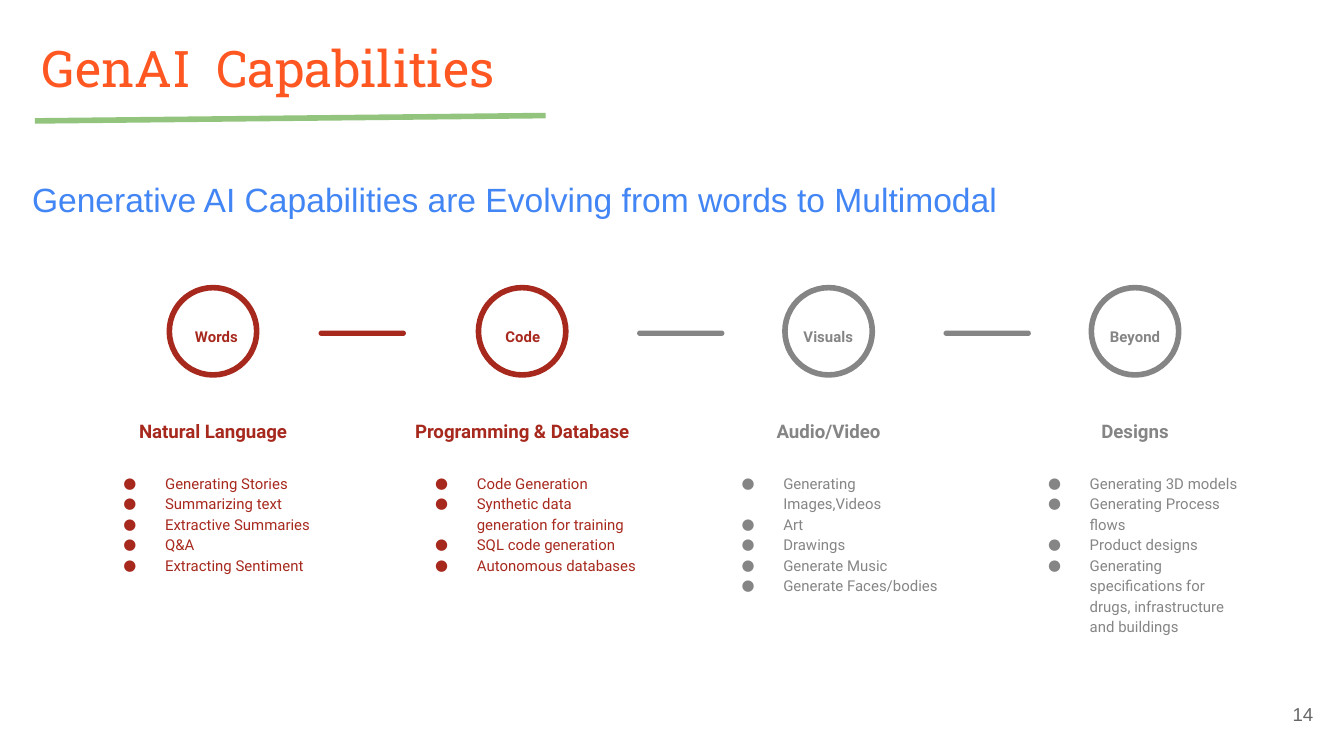
from collections import namedtuple
from dataclasses import dataclass

from lxml import etree
from pptx import Presentation, util as u
from pptx.dml.color import RGBColor
from pptx.enum import shapes as kinds, text as txt
from pptx.oxml import ns


@dataclass(frozen=True)
class Theme:
    """Colours, fonts and type sizes of the deck."""
    current: str = "A7291E"
    future: str = "858585"
    title: str = "FF5722"
    subtitle: str = "4285F4"
    underline: str = "93C47D"
    number: str = "666666"
    slab: str = "Roboto Slab"
    body: str = "Roboto"
    plain: str = "Arial"
    title_size: float = 27
    subtitle_size: float = 18
    heading_size: float = 10
    body_size: float = 8
    stroke: float = 3


THEME = Theme()
Box = namedtuple("Box", "left top width height")
Stage = namedtuple("Stage", "left colour label label_left label_width label_align heading "
                            "list_left list_width items dash_gap")
LEFT, CENTER, RIGHT = txt.PP_ALIGN.LEFT, txt.PP_ALIGN.CENTER, txt.PP_ALIGN.RIGHT
TOP, MIDDLE, BOTTOM = txt.MSO_ANCHOR.TOP, txt.MSO_ANCHOR.MIDDLE, txt.MSO_ANCHOR.BOTTOM

STAGES = [
    Stage(0.65, THEME.current, "Words", 0.7, 0.52, CENTER, "Natural Language", -0.02, 1.92,
          ["Generating Stories", "Summarizing text", "Extractive Summaries", "Q&A",
           "Extracting Sentiment"], None),
    Stage(2.95, THEME.current, "Code", 0.7, 0.48, CENTER, "Programming & Database", 0, 1.96,
          ["Code Generation", "Synthetic data generation for training",
           "SQL code generation", "Autonomous databases"], 0.58),
    Stage(5.23, THEME.future, "Visuals", 0.65, 0.65, LEFT, "Audio/Video", 0, 1.87,
          ["Generating Images,Videos", "Art", "Drawings", "Generate Music",
           "Generate Faces/bodies"], 0.49),
    Stage(7.51, THEME.future, "Beyond", 0.61, 0.65, CENTER, "Designs", 0, 1.87,
          ["Generating 3D models", "Generating Process flows", "Product designs",
           "Generating specifications for drugs, infrastructure and buildings"], 0.49),
]


def apply(target, values):
    """Set each named attribute of the target."""
    for name, value in values.items():
        setattr(target, name, value)


def inches(box):
    """Turn a box into four lengths."""
    return [u.Inches(value) for value in box]


def add_text(parent, box, lines, font, size, colour, bold=False, align=LEFT, anchor=TOP,
             wrap=True, spacing=None):
    """Add a text box and return its paragraphs."""
    frame = parent.add_textbox(*inches(box)).text_frame
    margins = {f"margin_{side}": u.Inches(0.1) for side in ("left", "top", "right", "bottom")}
    apply(frame, {"word_wrap": wrap, "vertical_anchor": anchor, **margins})
    frame.text = "\n".join(lines)
    for paragraph in frame.paragraphs:
        apply(paragraph, {"alignment": align, "line_spacing": spacing})
        for run in paragraph.runs:
            apply(run.font, {"name": font, "size": u.Pt(size), "bold": bold})
            run.font.color.rgb = RGBColor.from_string(colour)
    return frame.paragraphs


def add_bullet(paragraph, colour):
    """Give a paragraph a hanging round bullet."""
    props = paragraph._p.get_or_add_pPr()
    props.set("marL", str(u.Inches(0.5)))
    props.set("indent", str(u.Inches(-0.31)))
    bullet_colour = etree.SubElement(props, ns.qn("a:buClr"))
    etree.SubElement(bullet_colour, ns.qn("a:srgbClr"), val=colour)
    etree.SubElement(props, ns.qn("a:buSzPts"), val=str(int(THEME.body_size * 100)))
    etree.SubElement(props, ns.qn("a:buFont"), typeface=THEME.body)
    etree.SubElement(props, ns.qn("a:buChar"), char="●")


def add_header(slide, box):
    """Place the title, its underline and the subtitle."""
    left, top, width, _ = box
    add_text(slide.shapes, Box(left + 0.07, top, 4.01, 0.63), ["GenAI  Capabilities"],
             THEME.slab, THEME.title_size, THEME.title)
    underline = slide.shapes.add_connector(
        kinds.MSO_CONNECTOR.STRAIGHT, u.Inches(left + 0.12), u.Inches(top + 0.72),
        u.Inches(left + 3.92), u.Inches(top + 0.68))
    underline.line.color.rgb = RGBColor.from_string(THEME.underline)
    underline.line.width = u.Pt(THEME.stroke)
    etree.SubElement(underline._element.spPr, ns.qn("a:effectLst"))
    add_text(slide.shapes, Box(left, top + 0.9, width, 0.65),
             ["Generative AI Capabilities are Evolving from words to Multimodal"],
             THEME.plain, THEME.subtitle_size, THEME.subtitle, anchor=BOTTOM)


def add_dash(slide, box, colour):
    """Place the rounded bar that leads to a stage."""
    dash = slide.shapes.add_shape(kinds.MSO_SHAPE.ROUNDED_RECTANGLE, *inches(box))
    dash.adjustments[0] = 0.5
    dash.shadow.inherit = False
    dash.fill.solid()
    dash.fill.fore_color.rgb = RGBColor.from_string(colour)
    dash.line.fill.background()


def add_stage(slide, box, stage):
    """Place one stage: circle, label, heading and bullet list."""
    left, top, width, height = box
    parts = slide.shapes.add_group_shape().shapes
    circle = parts.add_shape(kinds.MSO_SHAPE.OVAL, *inches((left + 0.61, top, 0.65, 0.65)))
    circle.shadow.inherit = False
    circle.fill.background()
    circle.line.color.rgb = RGBColor.from_string(stage.colour)
    circle.line.width = u.Pt(THEME.stroke)
    label, = add_text(parts, Box(left + stage.label_left, top + 0.2, stage.label_width, 0.35),
                      [stage.label], THEME.body, THEME.body_size, stage.colour, bold=True,
                      align=stage.label_align, wrap=False, spacing=1.15)
    label.space_after = u.Pt(16)
    add_text(parts, Box(left, top + 0.76, width, 0.49), [stage.heading], THEME.body,
             THEME.heading_size, stage.colour, bold=True, align=CENTER, anchor=BOTTOM,
             spacing=1.15)
    items = add_text(parts, Box(left + stage.list_left, top + 1.27, stage.list_width,
                                height - 1.27),
                     stage.items, THEME.body, THEME.body_size, stage.colour, spacing=1.15)
    for item in items:
        add_bullet(item, stage.colour)


def add_timeline(slide, box):
    """Place all stages and the bars between them."""
    for stage in STAGES:
        left = box.left + stage.left
        if stage.dash_gap:
            add_dash(slide, Box(left - stage.dash_gap, box.top + 0.32, 0.65, 0.04),
                     stage.colour)
        add_stage(slide, Box(left, box.top, 1.87, box.height), stage)


def add_page_number(slide, box):
    """Place the page number."""
    add_text(slide.shapes, box, ["14"], THEME.plain, THEME.heading_size, THEME.number,
             align=RIGHT, anchor=MIDDLE)


def main():
    """Build and save the slide."""
    deck = Presentation()
    deck.slide_width = u.Inches(10)
    deck.slide_height = deck.slide_width * 9 // 16
    slide = deck.slides.add_slide(deck.slide_layouts[6])
    add_header(slide, Box(0.14, 0.18, 7.5, 1.55))
    add_timeline(slide, Box(0, 2.14, 10, 2.71))
    add_page_number(slide, Box(9.27, 5.1, 0.6, 0.43))
    deck.save("out.pptx")


if __name__ == "__main__":
    main()
